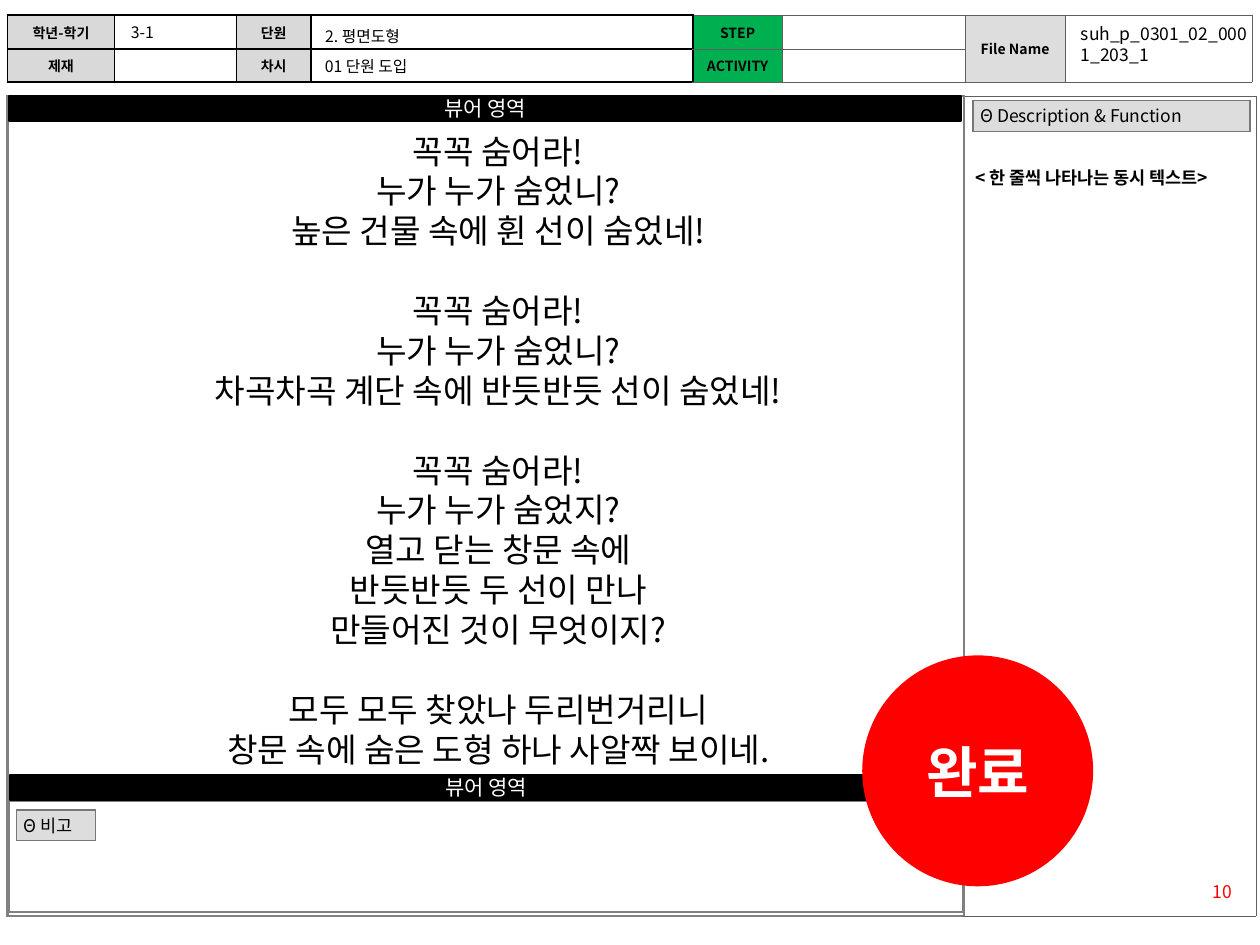
import pptx
import pptx.util
import pptx.dml.color
import pptx.enum.shapes
import pptx.enum.text
import pptx.oxml
import pptx.oxml.ns
from lxml import etree

Cm, Pt = pptx.util.Cm, pptx.util.Pt
PP = pptx.enum.text.PP_ALIGN
ANCHOR = pptx.enum.text.MSO_ANCHOR
SHAPE = pptx.enum.shapes.MSO_SHAPE
qn = pptx.oxml.ns.qn
FONT = "Noto Sans CJK KR"
NO_STYLE = "{2D5ABB26-0587-4C30-8999-92F81FD0307C}"
COLORS = {
    "black": "000000", "white": "FFFFFF", "red": "FF0000", "green": "00B050",
    "head": "D9D9D9", "label": "DDDDDD", "frame": "808080", "edge": "777777", "thin": "5F5F5F",
}

HEADER = [
    ["학년-학기", "", "단원", "", "STEP", "", "File Name", ""],
    ["제재", "", "차시", "", "ACTIVITY", "", "", ""],
]
HEADER_COLS = [2.16, 2.46, 1.5, 7.7, 1.8, 3.68, 2.03, 3.76]
HEADER_FILLS = ["head", None, "head", None, "green", None, "label", None]
UNIT = "2. 평면도형"
FIELDS = [
    ("3-1", (2.39, 0.33, 2.39, 0.61), {"size": 9}, PP.LEFT),
    ("01 단원 도입", (6.3, 1.02, 7.59, 0.61), {"size": 9}, PP.LEFT),
    ("suh_p_0301_02_0001_203_1", (21.54, 0.33, 3.86, 1.12), {"size": 10}, PP.JUSTIFY),
    ("< 한 줄씩 나타나는 동시 텍스트>", (19.41, 3.25, 5.99, 0.69), {"size": 10, "bold": True}, PP.LEFT),
    ("10", (23.39, 17.63, 1.7, 0.69), {"size": 10, "color": "red"}, PP.RIGHT),
]
LABELS = [
    ("Θ 비고", (0.33, 16.33), 1.6, 0.51),
    ("Θ Description & Function", (19.61, 2.03), 5.59, 0.53),
]
BAR_TEXT = "뷰어 영역"
BARS = [(0.18, 1.93, 19.2, 0.51), (0.2, 15.62, 19.2, 0.51)]
STANZAS = [
    ["꼭꼭 숨어라!", "누가 누가 숨었니?", "높은 건물 속에 휜 선이 숨었네!"],
    ["꼭꼭 숨어라!", "누가 누가 숨었니?", "차곡차곡 계단 속에 반듯반듯 선이 숨었네!"],
    ["꼭꼭 숨어라!", "누가 누가 숨었지?", "열고 닫는 창문 속에", "반듯반듯 두 선이 만나", "만들어진 것이 무엇이지?"],
    ["모두 모두 찾았나 두리번거리니", "창문 속에 숨은 도형 하나 사알짝 보이네."],
]
STANZA_GAP = 22.8


def rgb(name):
    return pptx.dml.color.RGBColor.from_string(COLORS[name])


def write(p, text, style, align=PP.LEFT):
    p.alignment = align
    r = p.add_run()
    r.text = text
    values = {"name": FONT, "bold": False, **style}
    r.font.color.rgb = rgb(values.pop("color", "black"))
    values["size"] = Pt(values["size"])
    for key, value in values.items():
        setattr(r.font, key, value)
    ea = etree.SubElement(r.font._element, qn("a:ea"))
    ea.set("typeface", FONT)


def place(shape, box):
    for key, value in zip(("left", "top", "width", "height"), box):
        setattr(shape, key, Cm(value))


def set_frame(tf, anchor=ANCHOR.TOP):
    values = {"word_wrap": True, "auto_size": pptx.enum.text.MSO_AUTO_SIZE.NONE, "vertical_anchor": anchor}
    for key, value in values.items():
        setattr(tf, key, value)


def add_block(s, kind, box, fill, line=None):
    shape = s.shapes.add_shape(kind, *map(Cm, box))
    shape.shadow.inherit = False
    shape.fill.solid()
    shape.fill.fore_color.rgb = rgb(fill)
    if line:
        shape.line.color.rgb = rgb(line)
        shape.line.width = Pt(1)
    else:
        shape.line.fill.background()
    set_frame(shape.text_frame, ANCHOR.MIDDLE)
    return shape


def set_border(cell, sides, color, width):
    tcPr = cell._tc.get_or_add_tcPr()
    for i, side in enumerate(sides):
        ln = pptx.oxml.parse_xml(
            f'<a:ln{side} xmlns:a="http://schemas.openxmlformats.org/drawingml/2006/main" w="{Pt(width)}">'
            f'<a:solidFill><a:srgbClr val="{COLORS[color]}"/></a:solidFill></a:ln{side}>')
        tcPr.insert(i, ln)


def add_grid(s, at, cols, rows):
    frame = s.shapes.add_table(len(rows), len(cols), *map(Cm, (*at, sum(cols), sum(rows))))
    table = frame.table
    table.first_row = table.horz_banding = False
    table._tbl.tblPr.find(qn("a:tableStyleId")).text = NO_STYLE
    for col, width in zip(table.columns, cols):
        col.width = Cm(width)
    for row, height in zip(table.rows, rows):
        row.height = Cm(height)
    for cell in table.iter_cells():
        cell.fill.background()
        cell.vertical_anchor = ANCHOR.MIDDLE
        end = etree.SubElement(cell.text_frame.paragraphs[0]._p, qn("a:endParaRPr"))
        end.set("sz", "800")
    return table


def fill_cell(cell, color):
    cell.fill.solid()
    cell.fill.fore_color.rgb = rgb(color)


def add_header(s):
    table = add_grid(s, (0.15, 0.3), HEADER_COLS, [0.69, 0.64])
    for r, texts in enumerate(HEADER):
        for c, text in enumerate(texts):
            cell = table.cell(r, c)
            color, width = ("black", 1) if c < 4 else ("thin", 0.25)
            set_border(cell, "LRTB", color, width)
            if HEADER_FILLS[c]:
                fill_cell(cell, HEADER_FILLS[c])
            if text:
                write(cell.text_frame.paragraphs[0], text, {"size": 8, "bold": True}, PP.CENTER)
    for c in (6, 7):
        table.cell(0, c).merge(table.cell(1, c))


def add_label(s, text, at, width, height):
    cell = add_grid(s, at, [width], [height]).cell(0, 0)
    margins = {"margin_left": 0.15, "margin_right": 0.15, "margin_top": 0.08, "margin_bottom": 0.08}
    for key, value in margins.items():
        setattr(cell, key, Cm(value))
    set_border(cell, "LRTB", "edge", 1)
    fill_cell(cell, "label")
    p = cell.text_frame.paragraphs[0]
    p.line_spacing = 0.9
    write(p, text, {"size": 10})


def write_poem(body):
    tf = body.text_frame
    set_frame(tf)
    lines = [(line, i > 0 and j == 0) for i, stanza in enumerate(STANZAS) for j, line in enumerate(stanza)]
    for n, (line, starts) in enumerate(lines):
        p = tf.add_paragraph() if n else tf.paragraphs[0]
        pPr = p._p.get_or_add_pPr()
        pPr.set("marL", "0")
        pPr.set("indent", "0")
        etree.SubElement(pPr, qn("a:buNone"))
        p.space_before = Pt(STANZA_GAP if starts else 0)
        write(p, line, {"size": 19}, PP.CENTER)


def main():
    prs = pptx.Presentation()
    prs.slide_width, prs.slide_height = Cm(25.4), Cm(19.05)
    s = prs.slides.add_slide(prs.slide_layouts[1])
    title, body = s.placeholders[0], s.placeholders[1]

    frame = add_grid(s, (0.15, 1.93), [19.28, 5.89], [16.54])
    set_border(frame.cell(0, 0), "LRTB", "frame", 1.5)
    set_border(frame.cell(0, 1), "L", "frame", 1.5)
    set_border(frame.cell(0, 1), "RTB", "thin", 0.25)
    add_header(s)
    notes = add_grid(s, (0.18, 16.15), [19.23], [2.24])
    set_border(notes.cell(0, 0), "LRTB", "frame", 1.5)
    for label in LABELS:
        add_label(s, *label)
    for box in BARS:
        bar = add_block(s, SHAPE.RECTANGLE, box, "black", "black")
        write(bar.text_frame.paragraphs[0], BAR_TEXT, {"size": 12, "color": "white"}, PP.CENTER)

    place(title, (6.3, 0.41, 7.7, 0.41))
    set_frame(title.text_frame)
    write(title.text_frame.paragraphs[0], UNIT, {"size": 9})
    for text, box, style, align in FIELDS:
        tf = s.shapes.add_textbox(*map(Cm, box)).text_frame
        set_frame(tf)
        write(tf.paragraphs[0], text, style, align)

    veil = add_block(s, SHAPE.RECTANGLE, (3.28, 13.77, 17.42, 1.07), "white")
    alpha = etree.SubElement(veil._element.spPr.find(".//" + qn("a:srgbClr")), qn("a:alpha"))
    alpha.set("val", "90000")
    place(body, (3.15, 2.51, 13.79, 13.26))
    write_poem(body)
    s.shapes._spTree.append(body._element)
    done = add_block(s, SHAPE.OVAL, (17.4, 13.23, 4.62, 4.62), "red", "red")
    write(done.text_frame.paragraphs[0], "완료", {"size": 32, "bold": True, "color": "white"}, PP.CENTER)
    prs.save("out.pptx")


if __name__ == "__main__":
    main()
